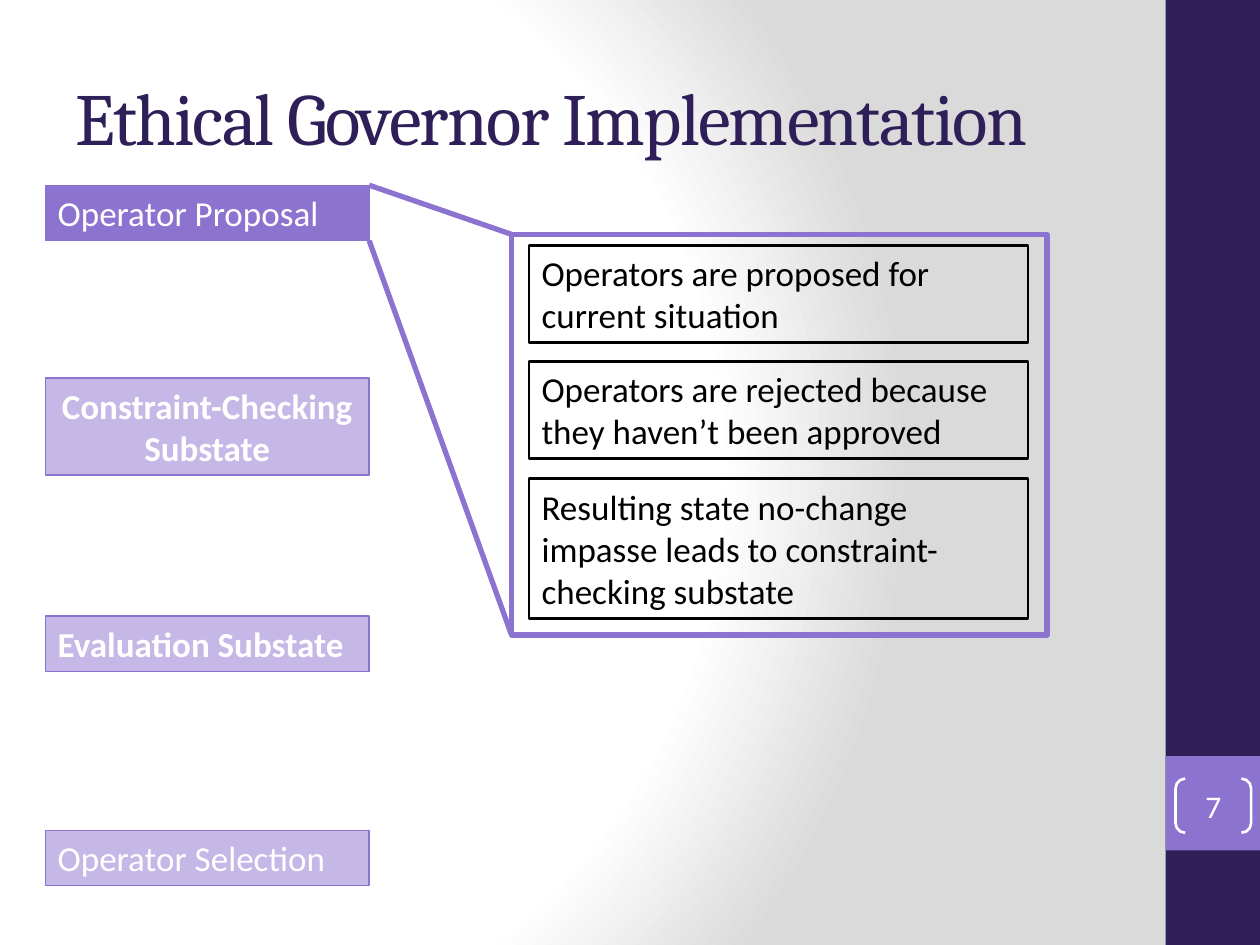
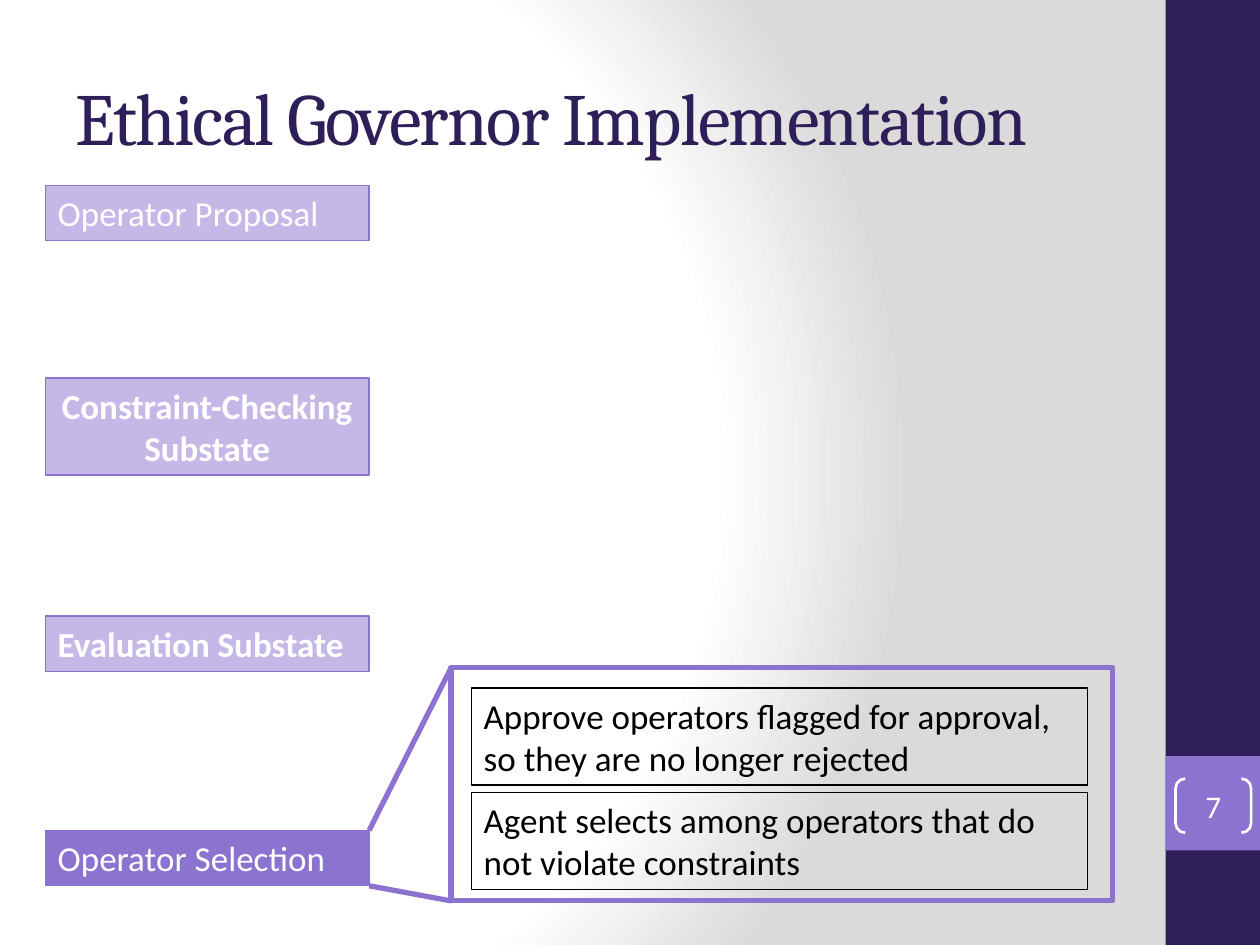
from lxml.etree import SubElement
from pptx import Presentation
from pptx.dml.color import RGBColor
from pptx.enum.shapes import MSO_CONNECTOR, MSO_SHAPE
from pptx.enum.text import MSO_ANCHOR, MSO_AUTO_SIZE, PP_ALIGN
from pptx.oxml import parse_xml
from pptx.oxml.ns import nsdecls, qn
from pptx.util import Inches, Pt

COLORS = {
    "dark": "2F1F58",
    "accent": "8C73D0",
    "white": "FFFFFF",
    "black": "000000",
    "gray": "DADADA",
}
BODY_FONT = "Calibri"
TITLE_FONT = "Cambria"
TITLE = "Ethical Governor Implementation"
PAGE_NUMBER = "7"

# The stages share one column: text, top, height, bold, alignment
STAGE_LEFT, STAGE_WIDTH = 0.36, 2.57
STAGES = [
    ("Operator Proposal", 1.47, 0.44, False, PP_ALIGN.LEFT),
    ("Constraint-Checking Substate", 3, 0.77, True, PP_ALIGN.CENTER),
    ("Evaluation Substate", 4.89, 0.44, True, PP_ALIGN.LEFT),
    ("Operator Selection", 6.59, 0.44, False, PP_ALIGN.LEFT),
]

# Each page highlights one stage and explains it in a panel of steps
PAGES = [
    {
        "stage": 0,
        "panel": (4.06, 1.86, 4.25, 3.18),
        "steps_left": 4.2,
        "steps_width": 3.96,
        "step_line": 1.5,
        "steps": [
            ("Operators are proposed for current situation", 1.95, 0.77),
            ("Operators are rejected because they haven’t been approved", 2.87, 0.77),
            ("Resulting state no-change impasse leads to constraint-checking substate",
             3.8, 1.11),
        ],
    },
    {
        "stage": 3,
        "panel": (3.58, 5.3, 5.25, 1.85),
        "steps_left": 3.74,
        "steps_width": 4.89,
        "step_line": 0.75,
        "steps": [
            ("Approve operators flagged for approval, so they are no longer rejected",
             5.46, 0.77),
            ("Agent selects among operators that do not violate constraints", 6.29, 0.77),
        ],
    },
]


def rgb(name):
    return RGBColor.from_string(COLORS[name])


def set_background(master):
    """Give every page the radial white-to-gray gradient."""
    master.background.fill.gradient()
    old = master.element.find(".//" + qn("a:gradFill"))
    stops = "".join(
        f'<a:gs pos="{position}000"><a:srgbClr val="{COLORS[name]}"/></a:gs>'
        for position, name in ((0, "white"), (75, "white"), (100, "gray"))
    )
    gradient = parse_xml(
        f'<a:gradFill {nsdecls("a")} rotWithShape="1"><a:gsLst>{stops}</a:gsLst>'
        '<a:path path="circle">'
        '<a:fillToRect l="20000" t="50000" r="100000" b="50000"/>'
        "</a:path></a:gradFill>"
    )
    old.getparent().replace(old, gradient)


def add_box(page, area, fill=None, line=None, width=0.75, kind=MSO_SHAPE.RECTANGLE):
    box = page.shapes.add_shape(kind, *map(Inches, area))
    box.shadow.inherit = False
    if fill:
        box.fill.solid()
        box.fill.fore_color.rgb = rgb(fill)
    else:
        box.fill.background()
    if line:
        box.line.color.rgb = rgb(line)
        box.line.width = Pt(width)
    else:
        box.line.fill.background()
    return box


def write(box, text, color, size=20, bold=False, align=PP_ALIGN.LEFT,
          anchor=MSO_ANCHOR.TOP, font=BODY_FONT):
    frame = box.text_frame
    frame.text = text
    frame.word_wrap = True
    frame.auto_size = MSO_AUTO_SIZE.NONE
    frame.vertical_anchor = anchor
    para = frame.paragraphs[0]
    para.alignment = align
    span = para.runs[0]
    span.font.name = font
    span.font.size = Pt(size)
    span.font.bold = bold
    span.font.color.rgb = rgb(color)
    return span


def add_line(page, start, end):
    line = page.shapes.add_connector(
        MSO_CONNECTOR.STRAIGHT, *map(Inches, (*start, *end)))
    line.line.color.rgb = rgb("accent")
    line.line.width = Pt(3)
    SubElement(line.element.spPr, qn("a:effectLst"))


def add_title(page):
    title = page.shapes.title
    title.left, title.top, title.width, title.height = map(
        Inches, (0.5, 0.3, 8.33, 1.25))
    span = write(title, TITLE, "dark", 42, anchor=MSO_ANCHOR.MIDDLE, font=TITLE_FONT)
    span.font._element.set("spc", "-100")


def add_side_band(page):
    add_box(page, (9.25, 0, 0.75, 7.5), fill="dark")
    add_box(page, (9.25, 6, 0.75, 0.75), fill="accent")


def add_page_number(page):
    bracket = add_box(page, (9.33, 6.18, 0.6, 0.43), line="white", width=1.5,
                      kind=MSO_SHAPE.DOUBLE_BRACKET)
    bracket.adjustments[0] = 0.179
    frame = bracket.text_frame
    frame.margin_left = frame.margin_right = frame.margin_top = frame.margin_bottom = 0
    write(bracket, PAGE_NUMBER, "white", 18, align=PP_ALIGN.CENTER,
          anchor=MSO_ANCHOR.MIDDLE)


def add_stages(page, active):
    for index, (text, top, height, bold, align) in enumerate(STAGES):
        box = add_box(page, (STAGE_LEFT, top, STAGE_WIDTH, height), "accent", "accent")
        if index != active:
            color = box.element.spPr.find(qn("a:solidFill"))[0]
            SubElement(color, qn("a:alpha"), val="50000")
        write(box, text, "white", bold=bold, align=align)


def add_panel(page, content):
    left, top, width, height = content["panel"]
    add_box(page, content["panel"], line="accent", width=3)

    # Lines fan out from the stage's right corners to the panel's left corners
    _, stage_top, stage_height, _, _ = STAGES[content["stage"]]
    stage_right = STAGE_LEFT + STAGE_WIDTH
    add_line(page, (stage_right, stage_top), (left, top))
    add_line(page, (stage_right, stage_top + stage_height), (left, top + height))

    for text, step_top, step_height in content["steps"]:
        area = (content["steps_left"], step_top, content["steps_width"], step_height)
        step = add_box(page, area, line="black", width=content["step_line"])
        write(step, text, "black")


def main():
    deck = Presentation()
    deck.slide_width, deck.slide_height = Inches(10), Inches(7.5)
    set_background(deck.slide_master)
    title_only = deck.slide_layouts[5]
    for content in PAGES:
        page = deck.slides.add_slide(title_only)
        add_side_band(page)
        add_title(page)
        add_panel(page, content)
        add_stages(page, content["stage"])
        add_page_number(page)
    deck.save("out.pptx")


if __name__ == "__main__":
    main()
